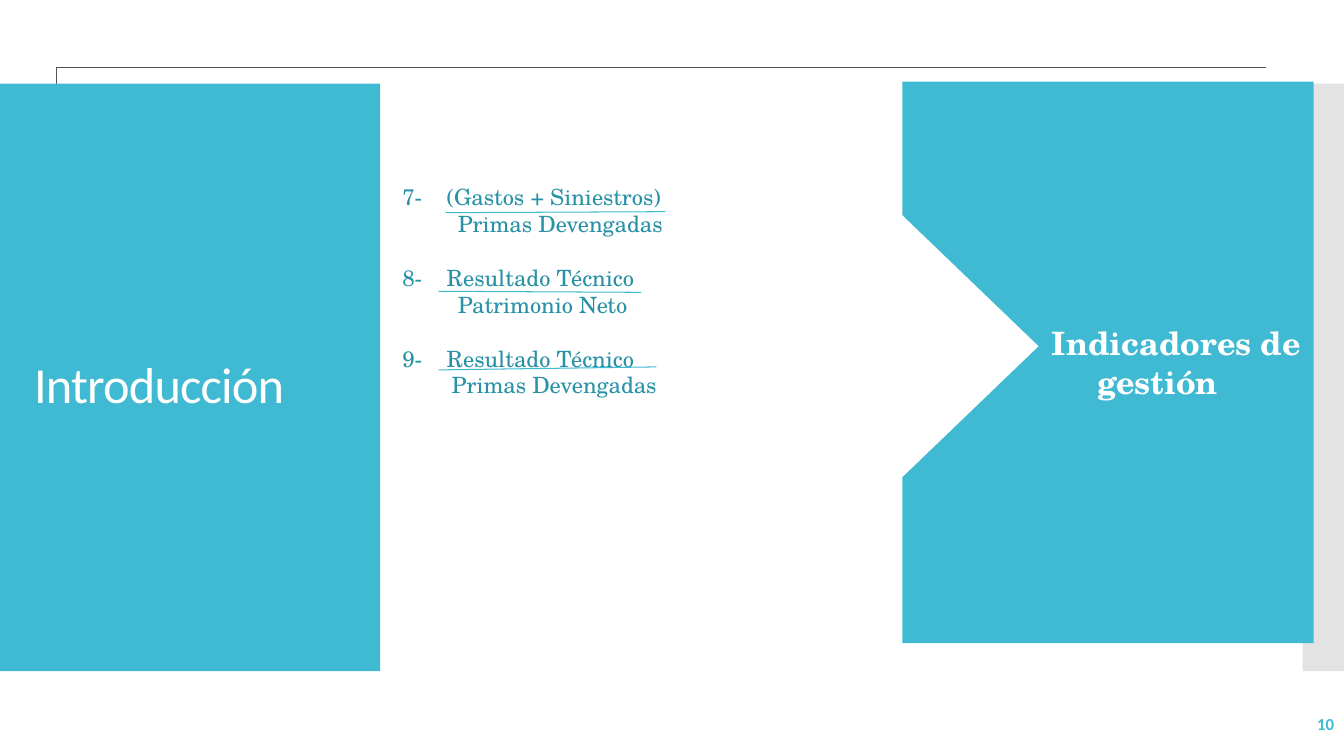
from pptx import Presentation
from pptx.dml.color import RGBColor as RGB
from pptx.enum.shapes import MSO_CONNECTOR as LINE, MSO_SHAPE as FORM
from pptx.enum.text import MSO_ANCHOR as ANCHOR, PP_ALIGN as ALIGN
from pptx.oxml.ns import qn
from pptx.util import Inches, Pt
from lxml import etree

TEAL = RGB(0x40, 0xBA, 0xD2)
DEEP = RGB(0x27, 0x91, 0xA6)
GREY = RGB(0xC8, 0xC8, 0xC8)
DARK = RGB(0x54, 0x54, 0x54)
WHITE = RGB(255, 255, 255)
SERIF = "TeX Gyre Schola"
SANS = "Calibri"


def style(item, **vals):
    for name, val in vals.items():
        setattr(item, name, val)


def block(slide, form, box, fill):
    shape = slide.shapes.add_shape(form, *map(Inches, box))
    shape.shadow.inherit = False
    shape.fill.solid()
    shape.fill.fore_color.rgb = fill
    shape.line.fill.background()
    return shape


def frame(shape, anchor, pads=(0.1, 0.05, 0.1, 0.05)):
    left, top, right, low = map(Inches, pads)
    text = shape.text_frame
    style(text, word_wrap=True, vertical_anchor=anchor, margin_left=left,
          margin_top=top, margin_right=right, margin_bottom=low)
    return text


def write(para, words, size, face, tint, bold=False, align=ALIGN.LEFT):
    para.alignment = align
    run = para.add_run()
    run.text = words
    style(run.font, size=Pt(size), name=face, bold=bold)
    run.font.color.rgb = tint
    return run


def indent(para, left, first=0):
    props = para._p.get_or_add_pPr()
    props.set("marL", str(Inches(left)))
    props.set("indent", str(Inches(first)))


def rule(slide, start, end):
    line = slide.shapes.add_connector(LINE.STRAIGHT, *map(Inches, start + end))
    line.line.color.rgb = TEAL
    line.line.width = Pt(0.75)
    etree.SubElement(line._element.spPr, qn("a:effectLst"))


def corner(slide, box):
    x, y, wide, high = map(Inches, box)
    path = slide.shapes.build_freeform(x, y + high)
    path.add_line_segments([(x, y), (x + wide, y)], close=False)
    shape = path.convert_to_shape()
    shape.shadow.inherit = False
    shape.fill.background()
    shape.line.color.rgb = DARK
    shape.line.width = Pt(1)


def strip(slide, box):
    shape = block(slide, FORM.RECTANGLE, box, GREY)
    tint = shape._element.spPr.find(".//" + qn("a:srgbClr"))
    etree.SubElement(tint, qn("a:alpha")).set("val", "50000")


def title(slide, box, words):
    x, y, wide, high = box
    block(slide, FORM.RECTANGLE, box, TEAL)
    label = slide.shapes.add_textbox(
        *map(Inches, (x + 0.24, y + 2.61, wide - 0.49, 0.81)))
    para = frame(label, ANCHOR.MIDDLE).paragraphs[0]
    para.line_spacing = 0.9
    run = write(para, words, 36, SANS, WHITE)
    run.font._element.set("spc", "-60")


def topic(slide, box, words):
    shape = block(slide, FORM.RECTANGLE, box, TEAL)
    para = frame(shape, ANCHOR.MIDDLE, (0.07, 0, 0.07, 0)).paragraphs[0]
    write(para, words, 23, SERIF, WHITE, True, ALIGN.CENTER)
    indent(para, 0.98, 0.38)


def ratios(slide, box, rows):
    x, y, wide, high = box
    shape = block(slide, FORM.PENTAGON, box, WHITE)
    shape.adjustments[0] = 0.52
    text = frame(shape, ANCHOR.TOP, (0, 0, 0.83, 0))
    for i, (num, over, under, shift, start, end) in enumerate(rows):
        para = text.add_paragraph() if i else text.paragraphs[0]
        para.space_before = Pt(19.2 if i else 0)
        write(para, f"{num}-\t{over}", 16, SERIF, DEEP)
        indent(para, 0.44, -0.44)
        para = text.add_paragraph()
        write(para, under, 16, SERIF, DEEP)
        indent(para, shift)
        rule(slide, (x + start[0], y + start[1]), (x + end[0], y + end[1]))


def number(slide, box, words):
    label = slide.shapes.add_textbox(*map(Inches, box))
    para = frame(label, ANCHOR.MIDDLE).paragraphs[0]
    write(para, words, 12, SANS, TEAL, True, ALIGN.RIGHT)


def main():
    deck = Presentation()
    style(deck, slide_width=Inches(13.33), slide_height=Inches(7.5))
    slide = deck.slides.add_slide(deck.slide_layouts[6])
    strip(slide, (12.92, 0.83, 0.41, 5.83))
    corner(slide, (0.56, 0.67, 12, 0.16))
    title(slide, (0, 0.83, 3.77, 5.83), "Introducción")
    topic(slide, (8.95, 0.81, 4.08, 5.57), "Indicadores de gestión")
    ratios(slide, (3.99, 1.82, 6.31, 3.23), [
        (7, "(Gastos + Siniestros)", "Primas Devengadas", 0.55,
         (0.43, 0.29), (2.61, 0.28)),
        (8, "Resultado Técnico", "Patrimonio Neto", 0.55,
         (0.36, 1.07), (2.37, 1.08)),
        (9, "Resultado Técnico", "Primas Devengadas", 0.49,
         (0.36, 1.85), (2.52, 1.82)),
    ])
    number(slide, (11.66, 7.1, 1.67, 0.17), "10")
    deck.save("out.pptx")


if __name__ == "__main__":
    main()
